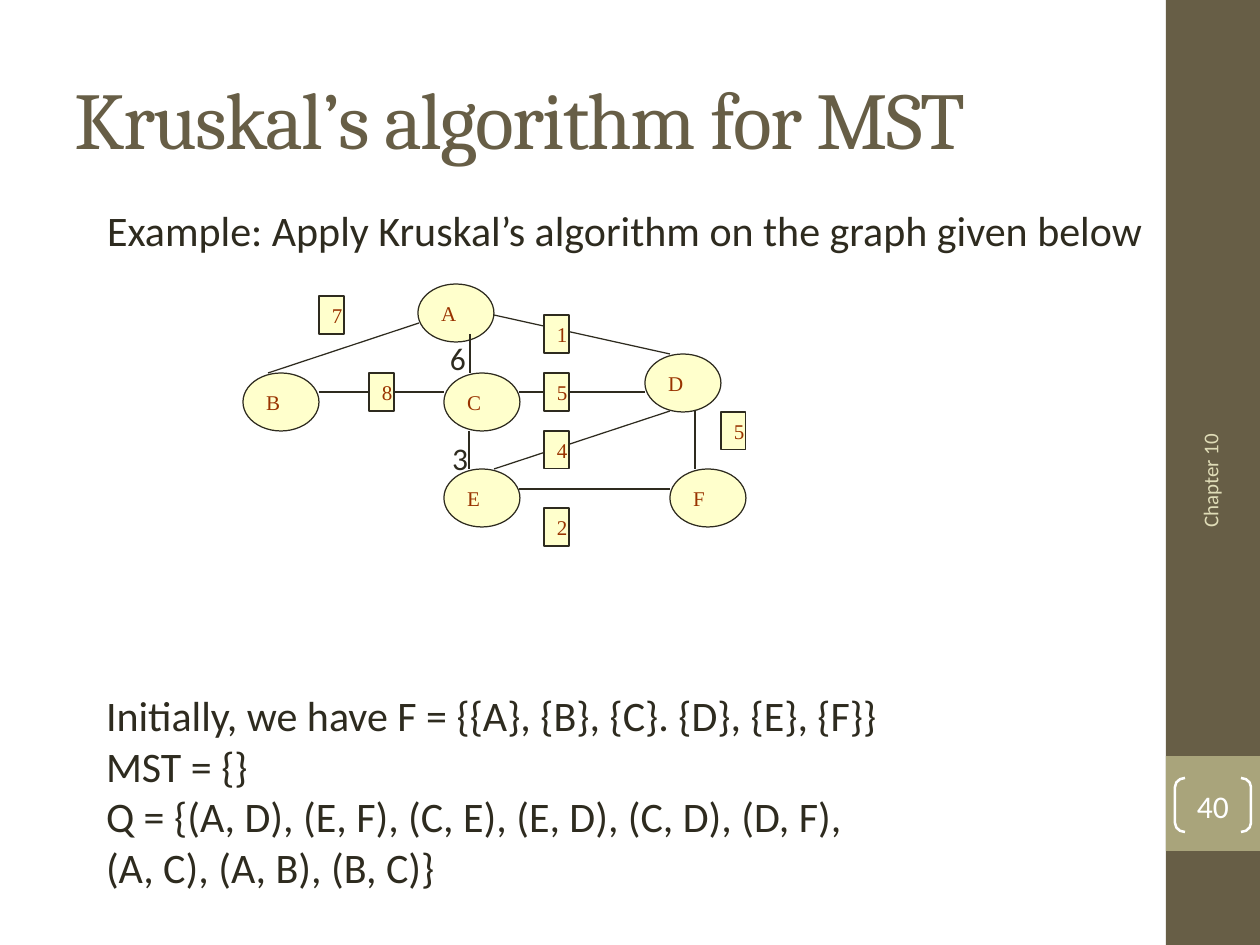
from dataclasses import dataclass

import pptx
import pptx.dml.color
import pptx.enum.shapes
import pptx.enum.text
import pptx.oxml
import pptx.util

SHAPE = pptx.enum.shapes.MSO_SHAPE
ANCHOR = pptx.enum.text.MSO_ANCHOR
PX_PER_INCH = 126

BROWN = "675E46"
OLIVE = "A9A47B"
SAND = "DFDCB7"
INK = "2E2B1F"
CREAM = "FFFFCC"
RUST = "993300"
WHITE = "FFFFFF"

NODE_SIZE = (76, 58)
WEIGHT_SIZE = (25, 38)


@dataclass
class Label:
    """A text with the top left corner of the thing that carries it."""
    text: str
    x: int
    y: int


@dataclass
class Edge:
    x1: int
    y1: int
    x2: int
    y2: int


NODES = [
    Label("A", 418, 284), Label("B", 243, 373), Label("C", 444, 373),
    Label("D", 645, 354), Label("E", 444, 469), Label("F", 670, 469),
]
EDGES = [
    Edge(419, 323, 268, 373),  # A-B
    Edge(470, 334, 470, 373),  # A-C
    Edge(494, 315, 670, 354),  # A-D
    Edge(319, 392, 444, 392),  # B-C
    Edge(519, 392, 645, 392),  # C-D
    Edge(469, 431, 469, 469),  # C-E
    Edge(695, 411, 695, 469),  # D-F
    Edge(494, 469, 670, 411),  # D-E
    Edge(519, 489, 670, 489),  # E-F
]
BOXED_WEIGHTS = [
    Label("7", 319, 296), Label("1", 544, 315), Label("8", 369, 373),
    Label("5", 544, 373), Label("4", 544, 431), Label("2", 544, 508),
    Label("5", 721, 412),
]
PLAIN_WEIGHTS = [Label("3", 452, 436), Label("6", 450, 336)]
STATE = [
    "Initially, we have F = {{A}, {B}, {C}. {D}, {E}, {F}}\vMST = {}",
    "Q = {(A, D), (E, F), (C, E), (E, D), (C, D), (D, F), (A, C), (A, B), (B, C)}",
]


def px(n: int) -> int:
    return pptx.util.Emu(round(n * 914400 / PX_PER_INCH))


def rgb(color: str) -> pptx.dml.color.RGBColor:
    return pptx.dml.color.RGBColor.from_string(color)


def place(sp, x: int, y: int, w: int, h: int) -> None:
    sp.left, sp.top, sp.width, sp.height = px(x), px(y), px(w), px(h)


def write(sp, text: str, size: int, color: str, font: str = "Calibri",
          left: int = 0, top: int = 0, wrap: bool = False,
          anchor=ANCHOR.TOP) -> None:
    """Fill a shape with left-aligned text; left and top are insets in px."""
    tf = sp.text_frame
    tf.text = text
    tf.word_wrap = wrap
    tf.auto_size = pptx.enum.text.MSO_AUTO_SIZE.NONE
    tf.vertical_anchor = anchor
    tf.margin_left, tf.margin_top = px(left), px(top)
    tf.margin_right = tf.margin_bottom = 0
    for p in tf.paragraphs:
        p.alignment = pptx.enum.text.PP_ALIGN.LEFT
        p.space_before = pptx.util.Pt(0)
        for r in p.runs:
            r.font.name = font
            r.font.size = pptx.util.Pt(size)
            r.font.color.rgb = rgb(color)


def add_text(s, label: Label, w: int, h: int, size: int, color: str):
    sp = s.shapes.add_textbox(px(label.x), px(label.y), px(w), px(h))
    write(sp, label.text, size, color, top=3)
    return sp


def add_shape(s, kind, x: int, y: int, w: int, h: int,
              fill: str = "", line: str = "", width: float = 0.72):
    """Add a preset shape; an empty colour means no fill or no line."""
    sp = s.shapes.add_shape(kind, px(x), px(y), px(w), px(h))
    sp.shadow.inherit = False
    if fill:
        sp.fill.solid()
        sp.fill.fore_color.rgb = rgb(fill)
    else:
        sp.fill.background()
    if line:
        sp.line.color.rgb = rgb(line)
        sp.line.width = pptx.util.Pt(width)
    else:
        sp.line.fill.background()
    return sp


def add_graph_label(s, kind, label: Label, size: tuple[int, int], left: int) -> None:
    sp = add_shape(s, kind, label.x, label.y, *size, fill=CREAM, line=INK)
    write(sp, label.text, 12, RUST, "Times New Roman", left=left,
          anchor=ANCHOR.MIDDLE)


def add_edge(s, edge: Edge) -> None:
    c = s.shapes.add_connector(
        pptx.enum.shapes.MSO_CONNECTOR.STRAIGHT,
        px(edge.x1), px(edge.y1), px(edge.x2), px(edge.y2))
    c.line.color.rgb = rgb(INK)
    c.line.width = pptx.util.Pt(0.72)
    c._element.spPr.append(pptx.oxml.parse_xml(
        '<a:effectLst xmlns:a="http://schemas.openxmlformats.org/drawingml/2006/main"/>'))


def add_sidebar(s) -> None:
    add_shape(s, SHAPE.RECTANGLE, 1166, 0, 94, 945, fill=BROWN)
    add_shape(s, SHAPE.RECTANGLE, 1166, 756, 94, 95, fill=OLIVE)
    for kind, x in ((SHAPE.LEFT_BRACKET, 1175), (SHAPE.RIGHT_BRACKET, 1241)):
        sp = add_shape(s, kind, x, 778, 10, 54, line=WHITE, width=1.44)
        sp.adjustments[0] = 0.9
    add_text(s, Label("40", 1197, 784), 35, 42, 18, WHITE)
    sp = s.shapes.add_textbox(px(1198), px(431), px(24), px(97))
    write(sp, "Chapter 10", 12, SAND, anchor=ANCHOR.MIDDLE)
    sp.text_frame._txBody.bodyPr.set("vert", "vert270")


def fill_title(sp) -> None:
    place(sp, 74, 23, 1027, 145)
    write(sp, "Kruskal’s algorithm for MST", 46, BROWN, "Cambria", top=46, wrap=True)
    for r in sp.text_frame.paragraphs[0].runs:
        r.font._element.set("spc", "-90")


def fill_state(sp) -> None:
    place(sp, 104, 687, 780, 205)
    write(sp, "\n".join(STATE), 24, INK, left=2, top=3, wrap=True)
    for p in sp.text_frame.paragraphs:
        pPr = p._p.get_or_add_pPr()
        pPr.set("marL", "0")
        pPr.set("indent", "0")
        pPr.append(pptx.oxml.parse_xml(
            '<a:buNone xmlns:a="http://schemas.openxmlformats.org/drawingml/2006/main"/>'))


def main() -> None:
    prs = pptx.Presentation()
    prs.slide_width, prs.slide_height = px(1260), px(945)
    s = prs.slides.add_slide(prs.slide_layouts[1])

    add_sidebar(s)
    fill_title(s.shapes.title)
    fill_state(s.placeholders[1])
    add_text(s, Label("Example: Apply Kruskal’s algorithm on the graph given below",
                      107, 202), 1039, 54, 24, INK)

    for node in NODES:
        add_graph_label(s, SHAPE.OVAL, node, NODE_SIZE, left=12)
    for edge in EDGES:
        add_edge(s, edge)
    for weight in BOXED_WEIGHTS:
        add_graph_label(s, SHAPE.RECTANGLE, weight, WEIGHT_SIZE, left=13)
    for weight in PLAIN_WEIGHTS:
        add_text(s, weight, 19, 42, 18, INK)

    prs.save("out.pptx")


if __name__ == "__main__":
    main()
